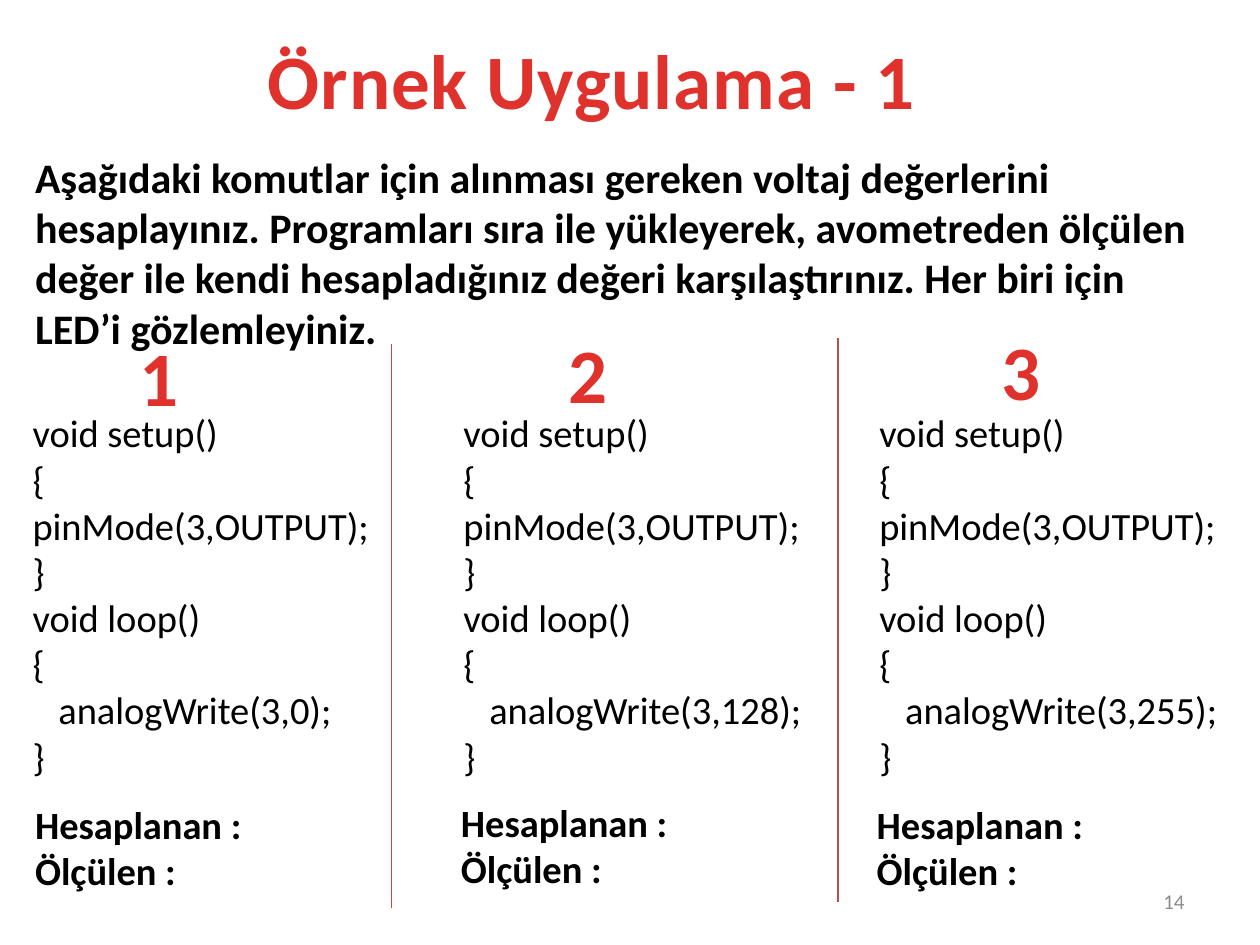
from dataclasses import dataclass
from typing import Any

from lxml.etree import SubElement
from pptx import Presentation
from pptx.dml.color import RGBColor
from pptx.enum.shapes import MSO_CONNECTOR as Connector
from pptx.enum.text import MSO_ANCHOR as Anchor, MSO_AUTO_SIZE as AutoSize, PP_ALIGN as Align
from pptx.oxml.ns import qn
from pptx.util import Inches, Pt

RED = RGBColor(0xE0, 0x32, 0x2D)
RULE_RED = RGBColor(0xBF, 0x4C, 0x48)
BLACK = RGBColor(0, 0, 0)
GREY = RGBColor(0x8C, 0x8C, 0x8C)

QUESTION = (
    "Aşağıdaki komutlar için alınması gereken voltaj değerlerini hesaplayınız. "
    "Programları sıra ile yükleyerek, avometreden ölçülen değer ile kendi "
    "hesapladığınız değeri karşılaştırınız. Her biri için LED’i gözlemleyiniz."
)
SKETCH = "void setup()\n{{\npinMode(3,OUTPUT);\n}}\nvoid loop()\n{{\nanalogWrite(3,{duty});\n}}"
RESULTS = "Hesaplanan :\nÖlçülen :"
WRITE_LINE = 6


@dataclass
class Worksheet:
    """Draws styled elements on a slide with a grid of 100 columns by 75 rows."""

    slide: Any
    font: str = "Calibri"
    cell: int = Inches(0.1)

    def span(self, *cells):
        return [round(count * self.cell) for count in cells]

    def style(self, frame, size, color, bold=False, align=Align.LEFT, anchor=Anchor.TOP, spacing=0):
        frame.word_wrap = True
        frame.auto_size = AutoSize.NONE
        frame.vertical_anchor = anchor
        for paragraph in frame.paragraphs:
            paragraph.alignment = align
            for run in paragraph.runs:
                font = run.font
                font.name, font.size, font.bold = self.font, Pt(size), bold
                font.color.rgb = color
                if spacing:
                    font._element.set("spc", str(spacing))

    def heading(self, shape, wording):
        shape.text_frame.text = wording
        self.style(shape.text_frame, 44, RED, True, Align.CENTER, Anchor.MIDDLE, 50)

    def title(self, wording, *area):
        heading = self.slide.shapes.title
        heading.left, heading.top, heading.width, heading.height = self.span(*area)
        self.heading(heading, wording)

    def number(self, wording, *area):
        self.heading(self.slide.shapes.add_textbox(*self.span(*area)), wording)

    def text(self, wording, area, size, color=BLACK, **style):
        frame = self.slide.shapes.add_textbox(*self.span(*area)).text_frame
        frame.text = wording
        self.style(frame, size, color, **style)
        return frame

    def code(self, wording, area, indented):
        frame = self.text(wording, area, 22)
        indent = frame.paragraphs[indented]._p.get_or_add_pPr()
        indent.set("marL", str(self.span(2.05)[0]))

    def divider(self, column, top, bottom):
        ends = self.span(column, top, column, bottom)
        rule = self.slide.shapes.add_connector(Connector.STRAIGHT, *ends)
        rule.line.color.rgb = RULE_RED
        rule.line.width = Pt(0.75)
        SubElement(rule._element.spPr, qn("a:effectLst"))


def main():
    deck = Presentation()
    deck.slide_width, deck.slide_height = Inches(10), Inches(7.5)
    sheet = Worksheet(deck.slides.add_slide(deck.slide_layouts[5]))

    sheet.title("Örnek Uygulama - 1", 2, 0, 90, 12.5)
    sheet.text(QUESTION, (1.8, 11.5, 96, 17.3), 24, bold=True)

    exercises = [
        (0, (7.1, 26.4), (1.6, 32), (1.8, 63.1)),
        (128, (41.2, 26.2), (35.8, 32), (35.6, 62.9)),
        (255, (75.5, 25.9), (68.8, 32), (68.6, 63.1)),
    ]
    for order, (duty, number_at, code_at, results_at) in enumerate(exercises, 1):
        sheet.number(str(order), *number_at, 11, 6.8)
        sheet.code(SKETCH.format(duty=duty), (*code_at, 33.1, 32.2), WRITE_LINE)
        sheet.text(RESULTS, (*results_at, 33.1, 8.6), 22, bold=True)

    for column, top in ((31.1, 27.3), (66.5, 26.8)):
        sheet.divider(column, top, top + 44.8)
    sheet.text("14", (71.7, 69.5, 23.3, 4), 12, GREY, align=Align.RIGHT, anchor=Anchor.MIDDLE)

    deck.save("out.pptx")


if __name__ == "__main__":
    main()
